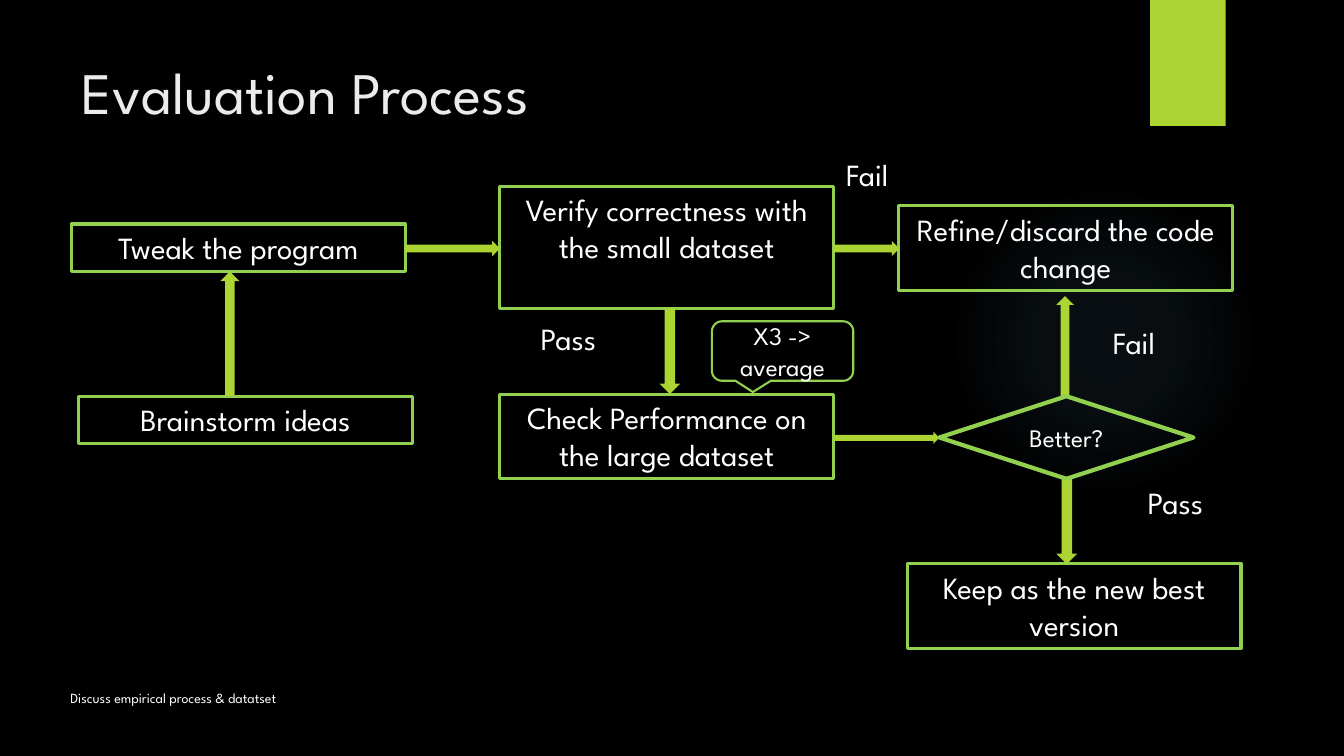
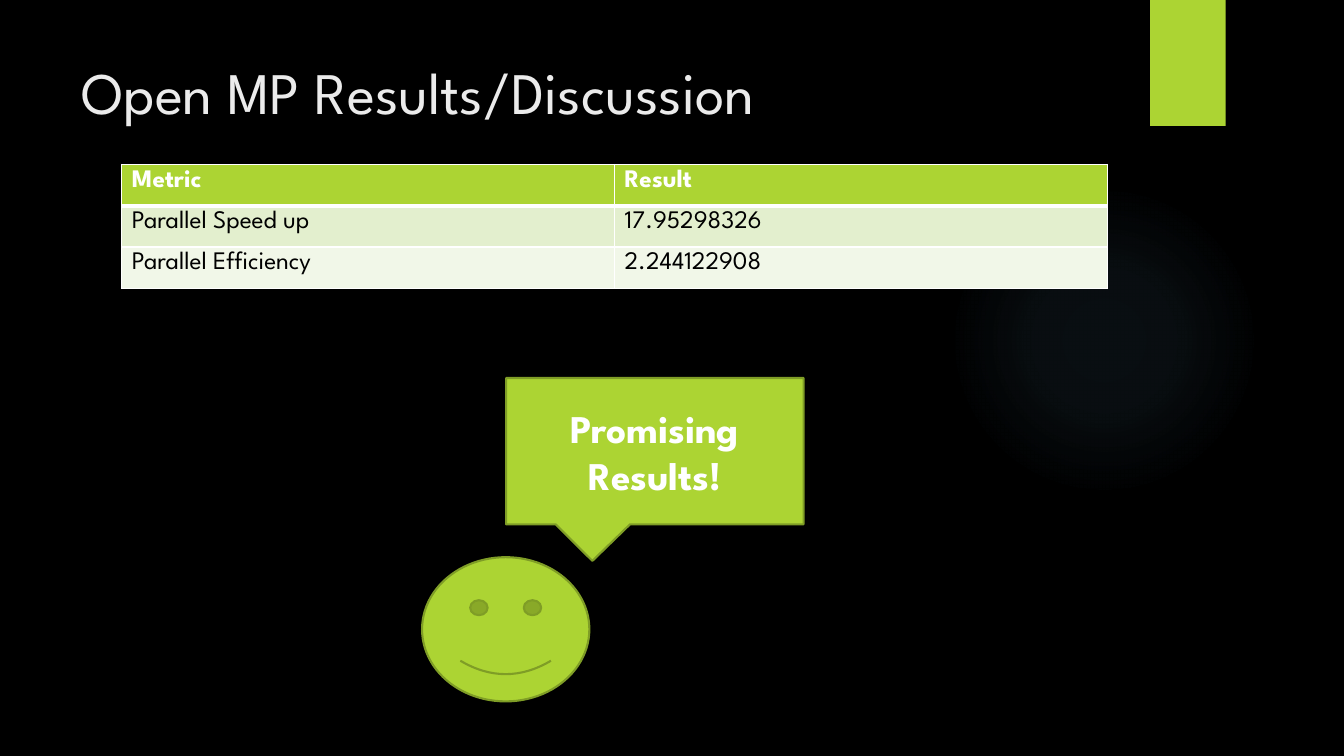
from lxml import etree
from pptx import Presentation
from pptx.dml.color import RGBColor
from pptx.enum.shapes import MSO_SHAPE as Preset
from pptx.enum.text import MSO_ANCHOR as Anchor, MSO_AUTO_SIZE as AutoSize, PP_ALIGN as Align
from pptx.oxml import parse_xml
from pptx.oxml.ns import nsdecls, qn
from pptx.util import Pt

FONT = "League Spartan"
LIME, GREEN, OLIVE = "ACD433", "92D050", "7F9D26"
WHITE, BLACK, PALE_GREY = "FFFFFF", "000000", "EBEBEB"
color = RGBColor.from_string


def add_block(slide, preset, at, fill=None, line=None, weight=1.5):
    """Add a flat preset shape; at is left, top, width, height in points."""
    block = slide.shapes.add_shape(preset, *map(Pt, at))
    block.shadow.inherit = False
    if fill:
        block.fill.solid()
        block.fill.fore_color.rgb = color(fill)
    else:
        block.fill.background()
    if line:
        block.line.color.rgb = color(line)
        block.line.width = Pt(weight)
    else:
        block.line.fill.background()
    return block


def write(frame, text, size, ink=WHITE, bold=False, align=Align.CENTER,
          anchor=Anchor.TOP, wrap=True):
    frame.text = text
    frame.auto_size = AutoSize.NONE
    frame.word_wrap = wrap
    frame.vertical_anchor = anchor
    paragraph = frame.paragraphs[0]
    paragraph.alignment = align
    paragraph.space_before = Pt(0)
    style = {"name": FONT, "size": Pt(size), "bold": bold}
    for attribute, value in style.items():
        setattr(paragraph.runs[0].font, attribute, value)
    paragraph.runs[0].font.color.rgb = color(ink)


deck = Presentation()
deck.slide_width, deck.slide_height = Pt(960), Pt(540)
process = deck.slides.add_slide(deck.slide_layouts[1])
results = deck.slides.add_slide(deck.slide_layouts[5])

# Shared look: black master with a faint glow and a lime tag
master = deck.slide_master
master.background.fill.solid()
master.background.fill.fore_color.rgb = color(BLACK)

glow = add_block(process, Preset.OVAL, (677.5, 132, 222, 222))
stops = "".join(
    f'<a:gs pos="{place}000"><a:srgbClr val="7AC4F0"><a:alpha val="{alpha}000"/></a:srgbClr></a:gs>'
    for place, alpha in ((0, 7), (36, 6), (69, 0), (100, 0)))
glow_fill = parse_xml(
    f'<a:gradFill {nsdecls("a")} rotWithShape="1"><a:gsLst>{stops}</a:gsLst>'
    '<a:path path="circle"><a:fillToRect l="50000" t="50000" r="50000" b="50000"/></a:path>'
    '</a:gradFill>')
glow_properties = glow._element.spPr
glow_properties.replace(glow_properties.find(qn("a:noFill")), glow_fill)
tag = add_block(process, Preset.RECTANGLE, (821.5, 0, 54, 90), fill=LIME)
for order, decoration in enumerate((glow, tag)):
    decoration._element.nvSpPr.cNvPr.set("id", str(20 + order))
    master.shapes._spTree.insert(2 + order, decoration._element)

for slide, heading in ((process, "Evaluation Process"), (results, "Open MP Results/Discussion")):
    title = slide.shapes.title
    title.left, title.top, title.width, title.height = map(Pt, (51, 36, 741, 62))
    write(title.text_frame, heading, 42, PALE_GREY, align=Align.LEFT)

# Evaluation process
caption = process.placeholders[1]
caption.left, caption.top, caption.width, caption.height = map(Pt, (43, 489, 492, 32))
write(caption.text_frame, "Discuss empirical process & datatset", 10, align=Align.LEFT)
caption_format = caption.text_frame.paragraphs[0]._p.get_or_add_pPr()
caption_format.set("marL", "0")
caption_format.set("indent", "0")
etree.SubElement(caption_format, qn("a:buNone"))

STEP_WIDTH = 238.5
steps = [
    ("Tweak the program", 51, 160, 34),
    ("Verify correctness with the small dataset", 357, 133, 87.5),
    ("Check Performance on the large dataset", 357, 281.5, 60.5),
    ("Refine/discard the code change", 642, 147, 60.5),
    ("Keep as the new best version", 648, 402.5, 60.5),
    ("Brainstorm ideas", 56, 283, 34),
]
for text, left, top, height in steps:
    step = add_block(process, Preset.RECTANGLE, (left, top, STEP_WIDTH, height),
                     line=GREEN, weight=2.25)
    write(step.text_frame, text, 22)

arrows = [
    (Preset.RIGHT_ARROW, (289.5, 172, 67.5, 11)),
    (Preset.RIGHT_ARROW, (595.5, 172, 47, 11)),
    (Preset.RIGHT_ARROW, (595.5, 308.5, 75.5, 8.5)),
    (Preset.DOWN_ARROW, (471, 220.5, 15, 61)),
    (Preset.DOWN_ARROW, (754.5, 342, 15, 61)),
    (Preset.UP_ARROW, (754.5, 211.5, 12.5, 71.5)),
    (Preset.UP_ARROW, (157.5, 194, 13.5, 89)),
]
for preset, at in arrows:
    add_block(process, preset, at, fill=LIME)

outcomes = [("Fail", 590, 108, 59), ("Pass", 373.5, 224.5, 65),
            ("Fail", 780.5, 228, 59), ("Pass", 807, 342, 65)]
for text, left, top, width in outcomes:
    outcome = process.shapes.add_textbox(Pt(left), Pt(top), Pt(width), Pt(34))
    write(outcome.text_frame, text, 22, wrap=False)

repeats = add_block(process, Preset.ROUNDED_RECTANGULAR_CALLOUT, (508.5, 229.5, 101, 42.5),
                    line=GREEN)
for index, value in enumerate((-0.21, 0.69, 0.17)):
    repeats.adjustments[index] = value
write(repeats.text_frame, "X3 -> average", 18, anchor=Anchor.MIDDLE)
decision = add_block(process, Preset.FLOWCHART_DECISION, (671, 283, 181.5, 59),
                     line=GREEN, weight=3)
write(decision.text_frame, "Better?", 18, anchor=Anchor.MIDDLE)

# Results
metrics = [("Metric", "Result"),
           ("Parallel Speed up", "17.95298326"),
           ("Parallel Efficiency", "2.244122908")]
row_fills = (LIME, "E3EFCE", "F1F7E8")
table = results.shapes.add_table(3, 2, Pt(87), Pt(117.5), Pt(704), Pt(88.5)).table
for row, texts in enumerate(metrics):
    table.rows[row].height = Pt(29.5)
    for column, text in enumerate(texts):
        cell = table.cell(row, column)
        header = row == 0
        write(cell.text_frame, text, 18, WHITE if header else BLACK, header, Align.LEFT)
        cell_format = cell._tc.get_or_add_tcPr()
        for side in ("lnL", "lnR", "lnT", "lnB"):
            under_header = (row, side) in ((0, "lnB"), (1, "lnT"))
            border = etree.SubElement(cell_format, qn(f"a:{side}"),
                                      w=str(Pt(3 if under_header else 1)))
            border_fill = etree.SubElement(border, qn("a:solidFill"))
            etree.SubElement(border_fill, qn("a:srgbClr"), val=WHITE)
        cell.fill.solid()
        cell.fill.fore_color.rgb = color(row_fills[row])

verdict = add_block(results, Preset.RECTANGULAR_CALLOUT, (361.5, 270, 212.5, 104.5), LIME, OLIVE)
verdict.adjustments[0], verdict.adjustments[1] = -0.21, 0.75
write(verdict.text_frame, "Promising Results!", 28, bold=True, anchor=Anchor.MIDDLE)
add_block(results, Preset.SMILEY_FACE, (301.5, 398, 119.5, 103), LIME, OLIVE)

deck.save("out.pptx")
